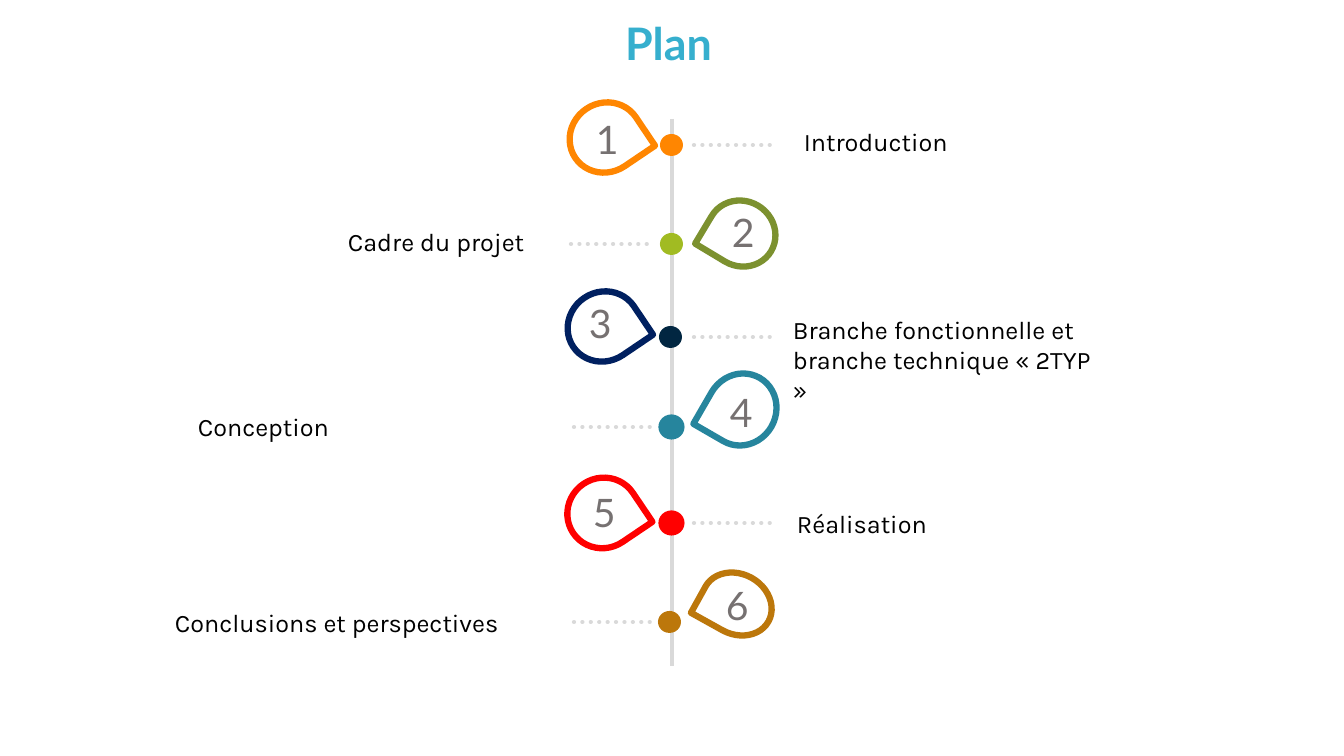
from collections import namedtuple

from pptx import Presentation
from pptx.dml.color import RGBColor
from pptx.enum.dml import MSO_LINE
from pptx.enum.shapes import MSO_CONNECTOR, MSO_SHAPE
from pptx.enum.text import MSO_ANCHOR, MSO_AUTO_SIZE, PP_ALIGN
from pptx.oxml.ns import qn
from pptx.util import Pt
from lxml.etree import SubElement

EMU = 914400 / 100.8


def px(n):
    return round(n * EMU)


def color(code):
    return RGBColor.from_string(code)


def write(frame, text, size=18, face="Karla", ink="000000", bold=False,
          align=PP_ALIGN.LEFT, anchor=MSO_ANCHOR.TOP, space=1.0):
    frame.word_wrap = True
    frame.auto_size = MSO_AUTO_SIZE.NONE
    frame.vertical_anchor = anchor
    para = frame.paragraphs[0]
    para.alignment = align
    para.line_spacing = space
    run = para.add_run()
    run.text = text
    font = run.font
    font.size, font.name, font.bold = Pt(size), face, bold
    font.color.rgb = color(ink)


class Deck:
    gray = "D9D9D9"
    dark = "767171"
    accent = "36AFCE"
    head = "Lato"

    def __init__(self, wide, high):
        self.file = Presentation()
        self.file.slide_width, self.file.slide_height = px(wide), px(high)
        self.slide = self.file.slides.add_slide(self.file.slide_layouts[5])
        self.shapes = self.slide.shapes

    def title(self, text, x, y, w, h):
        box = self.shapes.title
        box.left, box.top, box.width, box.height = map(px, (x, y, w, h))
        write(box.text_frame, text, size=32, face=self.head, ink=self.accent,
              bold=True, align=PP_ALIGN.CENTER, anchor=MSO_ANCHOR.MIDDLE,
              space=0.9)

    def text(self, text, x, y, w, h, **style):
        box = self.shapes.add_textbox(*map(px, (x, y, w, h)))
        write(box.text_frame, text, **style)

    def line(self, x1, y1, x2, y2, width, dots=False):
        line = self.shapes.add_connector(MSO_CONNECTOR.STRAIGHT,
                                         *map(px, (x1, y1, x2, y2)))
        line.line.color.rgb = color(self.gray)
        line.line.width = Pt(width)
        if dots:
            line.line.dash_style = MSO_LINE.ROUND_DOT
            line.line._get_or_add_ln().set("cap", "rnd")
        SubElement(line._element.spPr, qn("a:effectLst"))

    def shape(self, kind, x, y, w, h, fill=None, edge=None, width=0, turn=0):
        item = self.shapes.add_shape(kind, *map(px, (x, y, w, h)))
        item.shadow.inherit = False
        item.rotation = turn
        if fill:
            item.fill.solid()
            item.fill.fore_color.rgb = color(fill)
        else:
            item.fill.background()
        if edge:
            item.line.color.rgb = color(edge)
            item.line.width = Pt(width)
        else:
            item.line.fill.background()

    def save(self):
        self.file.save("out.pptx")


# drop: x, y, w, h, turn; dot: centre x, centre y, edge width
# lead: start x; digit: x, y; place: x, y, w of the label
Step = namedtuple("Step", "label ink fill drop dot lead digit place")
STEPS = [
    Step("Introduction", "FF8601", "FF8601", (571, 101, 69, 73, 56),
         (672, 145, 0), 694, (586, 110), (794, 121, 390)),
    Step("Cadre du projet", "7C912F", "A1BB22", (707, 201, 69, 65, 211),
         (672, 244, 0), 571, (722, 203), (338, 221, 218)),
    Step("Branche fonctionnelle et branche technique «\u00a02TYP\u00a0»".replace("\u00a0", " "),
         "002060", "012641", (569, 290, 69, 73, 56),
         (671, 337, 0), 694, (579, 294), (783, 309, 320)),
    Step("Conception", "26859D", "26859D", (707, 373, 69, 73, 210),
         (672, 427, 2.25), 574, (720, 383), (188, 406, 588)),
    Step("Réalisation", "FF0000", "FF0000", (568, 477, 70, 72, 56),
         (672, 523, 2.25), 694, (583, 483), (787, 503, 390)),
    Step("Conclusions et perspectives", "BC770B", "BC770B",
         (701, 574, 72, 60, 209), (670, 622, 0), 574, (716, 576),
         (165, 602, 390)),
]


def main():
    deck = Deck(1344, 756)
    deck.title("Plan", 27, 19, 1283, 54)

    # Central axis
    deck.line(672, 119, 672, 666, 2.25)

    # Steps along the axis
    for num, step in enumerate(STEPS, 1):
        x, y, edge = step.dot
        deck.line(step.lead, y, step.lead + 76, y, 3, dots=True)
        *box, turn = step.drop
        deck.shape(MSO_SHAPE.TEAR, *box, edge=step.ink, width=4.5, turn=turn)
        deck.shape(MSO_SHAPE.OVAL, x - 12, y - 11, 23, 22, fill=step.fill,
                   edge=step.fill if edge else None, width=edge)
        deck.text(str(num), *step.digit, 45, 57, size=28, face=deck.head,
                  ink=deck.dark)
        high = 72 if num == 3 else 40
        deck.text(step.label, *step.place, high)

    deck.save()


if __name__ == "__main__":
    main()
